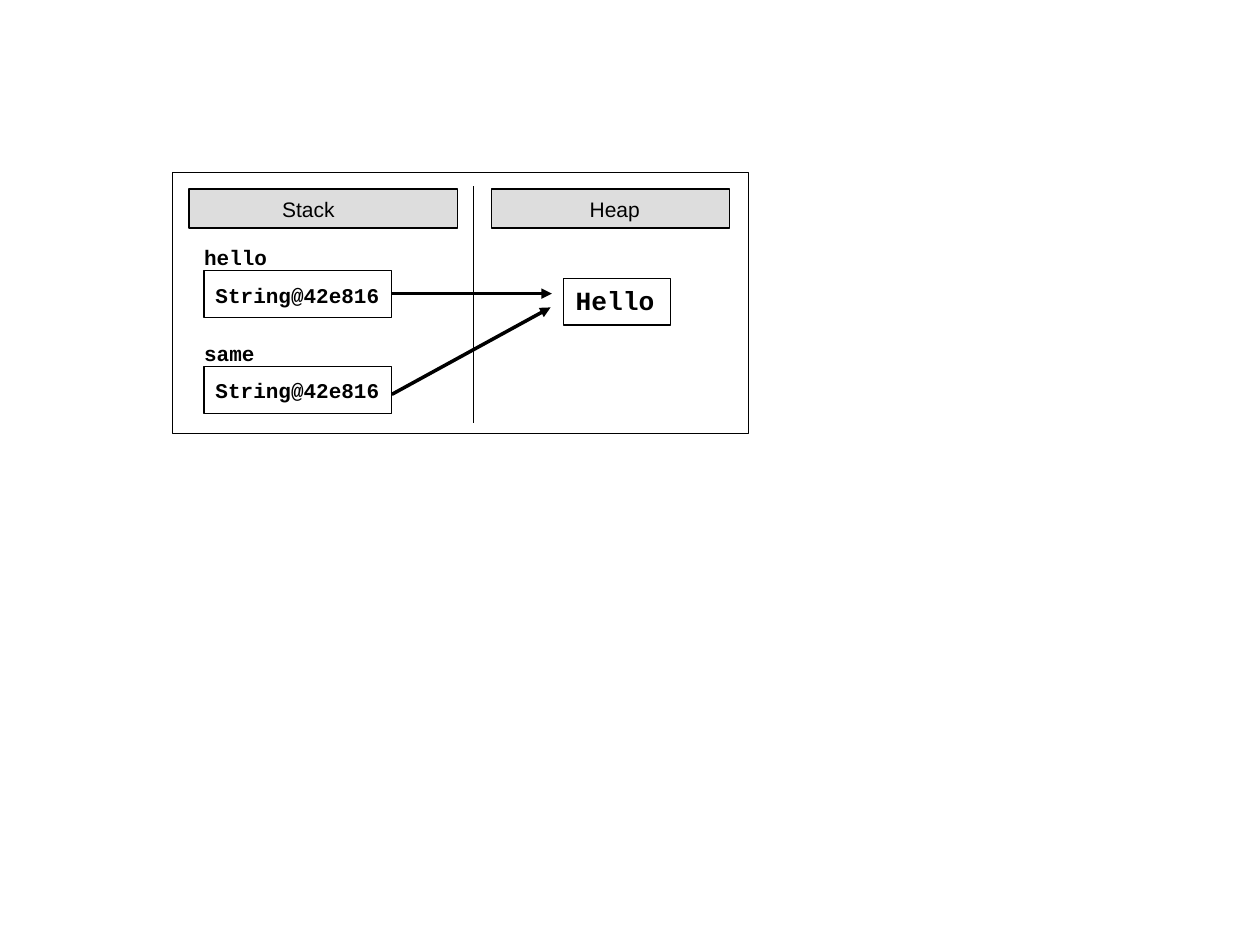
from lxml.etree import SubElement
from pptx import Presentation
from pptx.dml.color import RGBColor
from pptx.enum.shapes import MSO_CONNECTOR, MSO_SHAPE
from pptx.enum.text import MSO_ANCHOR, PP_ALIGN
from pptx.oxml.ns import qn
from pptx.util import Inches, Pt

BLACK = RGBColor(0, 0, 0)
WHITE = RGBColor(255, 255, 255)
GRAY = RGBColor(0xDD, 0xDD, 0xDD)

HEADER_FONT = {"name": "Arial", "size": Pt(12), "bold": False}
CODE_FONT = {"name": "Courier New", "size": Pt(12), "bold": True}
OBJECT_FONT = {"name": "Courier New", "size": Pt(15), "bold": True}

FRAME = (1.37, 1.37, 4.57, 2.07)
DIVIDER = ((3.76, 1.48), (3.76, 3.36))
HEADER_TOP, HEADER_HEIGHT = 1.5, 0.31
# Title, left, width, text indent
HEADERS = [("Stack", 1.5, 2.13, 0.74), ("Heap", 3.9, 1.89, 0.78)]

REFERENCE = "String@42e816"
VARIABLE_LEFT, VARIABLE_WIDTH, BOX_HEIGHT = 1.62, 1.49, 0.37
FIRST_ROW, ROW_STEP, LABEL_RISE = 2.15, 0.76, 0.21
# Variable name, label width, arrow start below box top, arrow tip
VARIABLES = [("hello", 0.5, 0.18, (4.38, 2.33)),
             ("same", 0.4, 0.22, (4.37, 2.44))]
HEAP_OBJECT = ("Hello", (4.47, 2.21, 0.85, BOX_HEIGHT))


def write(shape, text, font, inset=(0, 0)):
    """Write one left-aligned line, inset from the shape's left and top."""
    frame = shape.text_frame
    settings = {"margin_left": Inches(inset[0]), "margin_top": Inches(inset[1]),
                "margin_right": 0, "margin_bottom": 0,
                "word_wrap": False, "vertical_anchor": MSO_ANCHOR.TOP}
    for key, value in settings.items():
        setattr(frame, key, value)
    paragraph = frame.paragraphs[0]
    paragraph.alignment = PP_ALIGN.LEFT
    run = paragraph.add_run()
    run.text = text
    for key, value in font.items():
        setattr(run.font, key, value)
    run.font.color.rgb = BLACK


def add_box(slide, place, line_width=0.74, fill=None):
    """Add an outlined rectangle, filled when a colour is given."""
    shape = slide.shapes.add_shape(MSO_SHAPE.RECTANGLE, *map(Inches, place))
    shape.shadow.inherit = False
    if fill is None:
        shape.fill.background()
    else:
        shape.fill.solid()
        shape.fill.fore_color.rgb = fill
    shape.line.color.rgb = BLACK
    shape.line.width = Pt(line_width)
    return shape


def add_line(slide, start, end, width, arrow=False):
    """Add a straight line, with an arrowhead at its end if asked."""
    line = slide.shapes.add_connector(
        MSO_CONNECTOR.STRAIGHT, *map(Inches, (*start, *end)))
    line.line.color.rgb = BLACK
    line.line.width = Pt(width)
    if arrow:
        SubElement(line.line._get_or_add_ln(), qn("a:tailEnd"), type="triangle")
    SubElement(line._element.spPr, qn("a:effectLst"))


presentation = Presentation()
presentation.slide_width, presentation.slide_height = Inches(10), Inches(7.5)
slide = presentation.slides.add_slide(presentation.slide_layouts[6])

add_line(slide, *DIVIDER, 0.74)
add_box(slide, FRAME, 0.51)

for title, left, width, indent in HEADERS:
    header = add_box(slide, (left, HEADER_TOP, width, HEADER_HEIGHT), fill=GRAY)
    write(header, title, HEADER_FONT, (indent, 0.06))

object_text, object_place = HEAP_OBJECT
write(add_box(slide, object_place), object_text, OBJECT_FONT, (0.1, 0.05))

for row, (name, label_width, drop, tip) in enumerate(VARIABLES):
    top = FIRST_ROW + row * ROW_STEP
    box = add_box(slide, (VARIABLE_LEFT, top, VARIABLE_WIDTH, BOX_HEIGHT), fill=WHITE)
    write(box, REFERENCE, CODE_FONT, (0.09, 0.09))
    label = slide.shapes.add_textbox(
        *map(Inches, (VARIABLE_LEFT, top - LABEL_RISE, label_width, 0.2)))
    write(label, name, CODE_FONT)
    add_line(slide, (VARIABLE_LEFT + VARIABLE_WIDTH, top + drop), tip, 2, arrow=True)

presentation.save("out.pptx")
